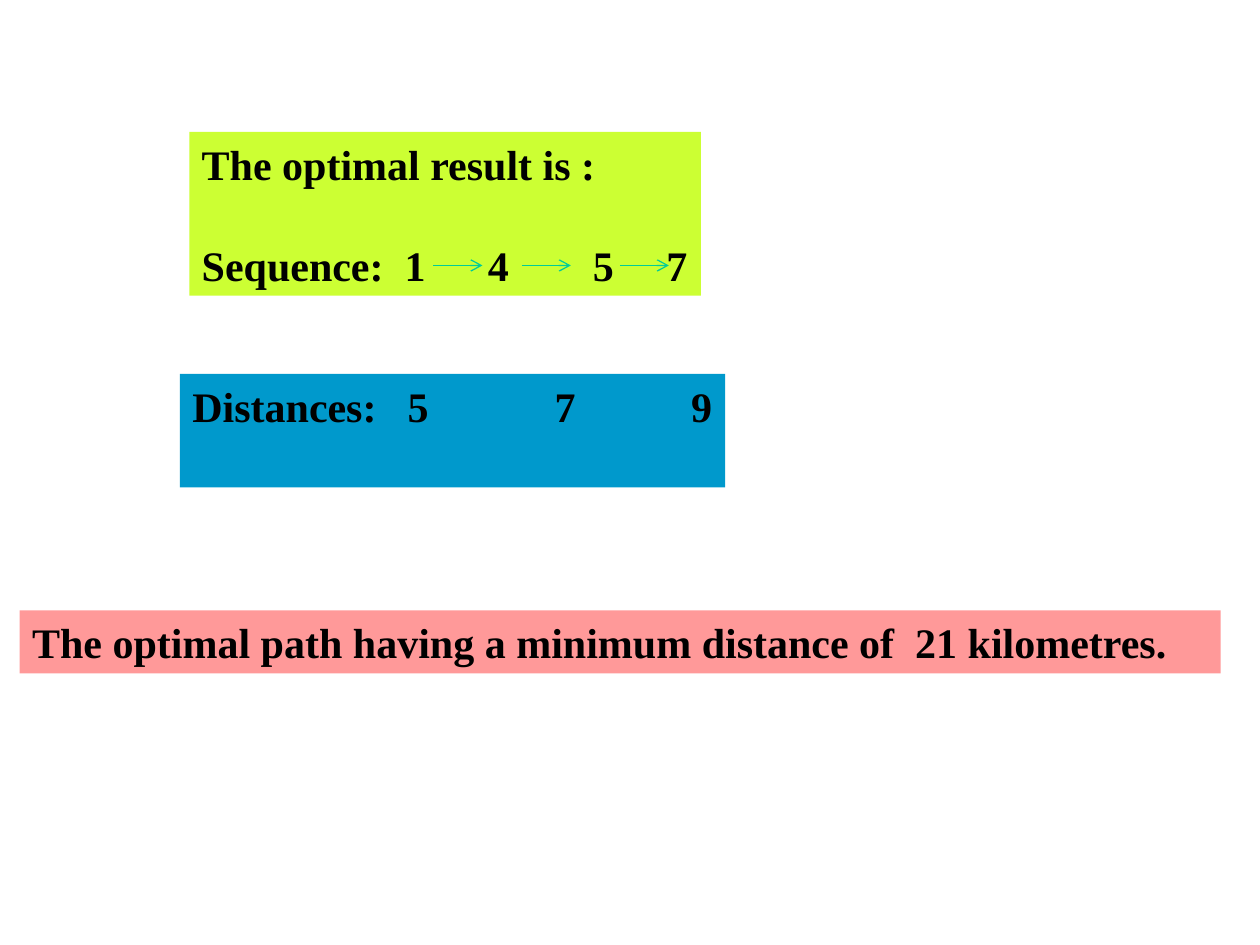
from lxml import etree
from pptx import Presentation
from pptx.dml.color import RGBColor
from pptx.enum.shapes import MSO_CONNECTOR, MSO_SHAPE
from pptx.enum.text import MSO_ANCHOR, PP_ALIGN
from pptx.oxml.ns import qn
from pptx.util import Pt

LIME = RGBColor(0xCC, 0xFF, 0x33)
BLUE = RGBColor(0x00, 0x99, 0xCC)
PINK = RGBColor(0xFF, 0x99, 0x99)
GREEN = RGBColor(0x00, 0xCC, 0x98)
BLACK = RGBColor(0, 0, 0)
FONT = "Times New Roman"
RECT = MSO_SHAPE.RECTANGLE
STRAIGHT = MSO_CONNECTOR.STRAIGHT
LEFT = PP_ALIGN.LEFT
TOP = MSO_ANCHOR.TOP


def add_panel(s, box, color):
    sp = s.shapes.add_shape(RECT, *(Pt(v) for v in box))
    sp.shadow.inherit = False
    sp.fill.solid()
    sp.fill.fore_color.rgb = color
    sp.line.fill.background()
    tf = sp.text_frame
    tf.word_wrap = True
    tf.vertical_anchor = TOP
    tf.margin_left = Pt(7.2)
    tf.margin_right = 0
    tf.margin_top = tf.margin_bottom = Pt(3.6)
    return tf


def write_line(p, text, tabs=(), before=0):
    p.alignment = LEFT
    p.space_before = Pt(before)
    if tabs:
        tab_list = etree.SubElement(p._p.get_or_add_pPr(), qn("a:tabLst"))
        for pos in tabs:
            etree.SubElement(tab_list, qn("a:tab"), pos=str(Pt(pos)), algn="l")
    r = p.add_run()
    r.text = text
    r.font.name = FONT
    r.font.size = Pt(24)
    r.font.bold = True
    r.font.color.rgb = BLACK


def add_arrow(s, x, y, length):
    line = s.shapes.add_connector(STRAIGHT, Pt(x), Pt(y), Pt(x + length), Pt(y))
    line.line.color.rgb = GREEN
    line.line.width = Pt(0.75)
    etree.SubElement(line.line._get_or_add_ln(), qn("a:tailEnd"), type="arrow")
    etree.SubElement(line._element.spPr, qn("a:effectLst"))


def add_sequence(s, box):
    left, top, width, height = box
    tf = add_panel(s, box, LIME)
    write_line(tf.paragraphs[0], "The optimal result is :")
    write_line(tf.add_paragraph(), "Sequence:\t1\t4\t5\t7",
               (116, 163.5, 223.5, 265.5), before=29)
    for offset in (139.5, 190, 246):
        add_arrow(s, left + offset, top + 76.3, 28)


def add_distances(s, box):
    tf = add_panel(s, box, BLUE)
    write_line(tf.paragraphs[0], "Distances:\t5\t7\t9", (123, 207, 285))


def add_conclusion(s, box):
    tf = add_panel(s, box, PINK)
    write_line(tf.paragraphs[0],
               "The optimal path having a minimum distance of  21 kilometres.")


def main():
    prs = Presentation()
    prs.slide_width, prs.slide_height = Pt(720), Pt(540)
    s = prs.slides.add_slide(prs.slide_layouts[6])
    add_sequence(s, (108.2, 75.4, 292.4, 93.6))
    add_distances(s, (102.8, 213.7, 311.6, 64.9))
    add_conclusion(s, (11.3, 348.8, 686.2, 36))
    prs.save("out.pptx")


if __name__ == "__main__":
    main()
